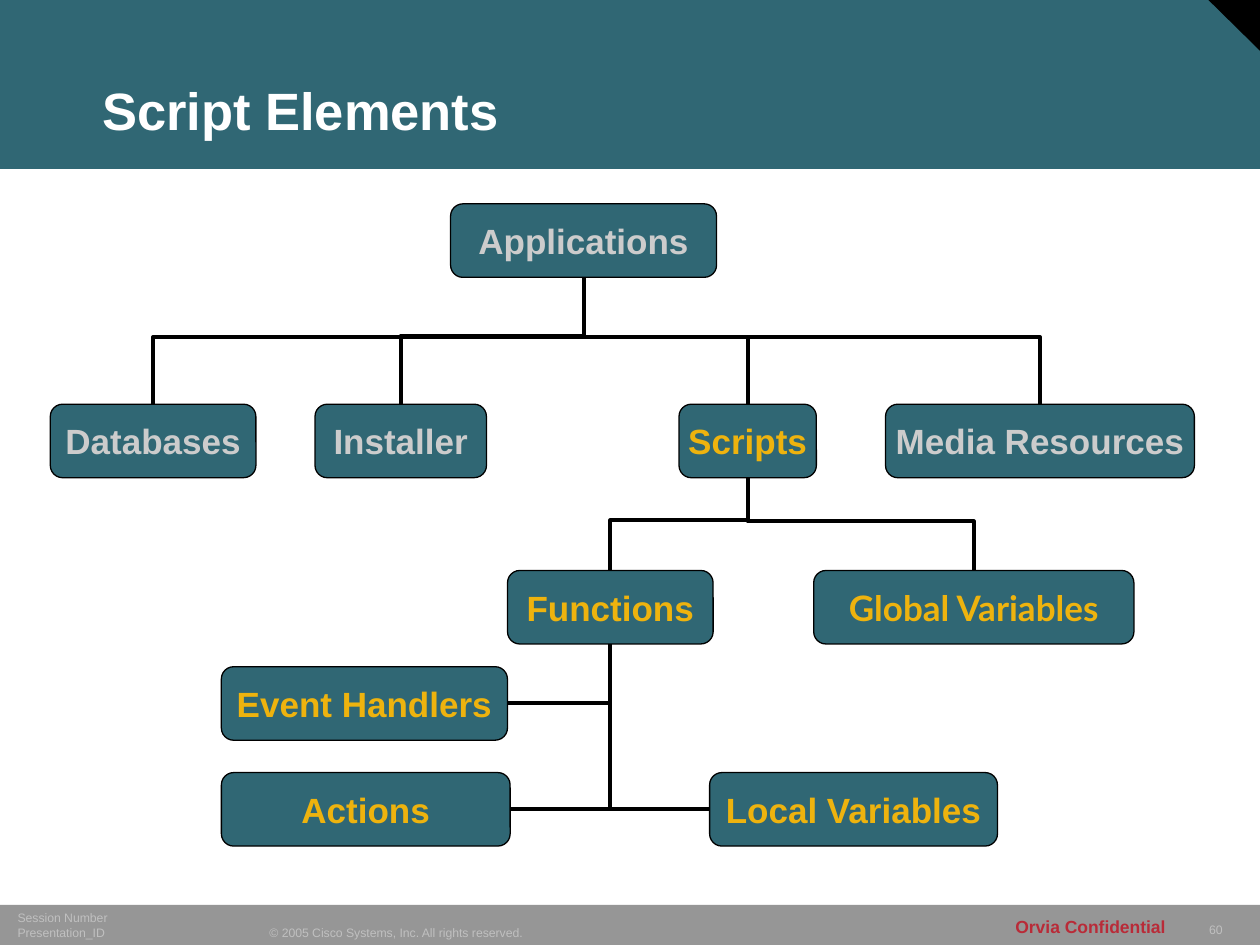
from dataclasses import dataclass

from lxml.etree import SubElement
from pptx import Presentation
from pptx.dml.color import RGBColor
from pptx.enum.shapes import MSO_CONNECTOR, MSO_SHAPE
from pptx.enum.text import MSO_ANCHOR, MSO_AUTO_SIZE, PP_ALIGN
from pptx.oxml.ns import qn
from pptx.util import Pt


@dataclass(frozen=True)
class Theme:
    teal: str = "306774"
    black: str = "000000"
    white: str = "FFFFFF"
    bar: str = "969696"
    footer: str = "C0C0C0"
    muted: str = "CCCCCC"
    gold: str = "EEB30E"
    red: str = "B92B38"
    font: str = "Arial"
    alternate_font: str = "Lato"
    title_size: float = 30
    node_size: float = 20
    notice_size: float = 10
    footer_size: float = 7
    outline: float = 0.75
    connector: float = 2.25


THEME = Theme()
NODE_HEIGHT = 42
SECOND_ROW, THIRD_ROW, LAST_ROW = 231, 326, 441.5

NODES = {
    "Applications": (257.5, 116.5, 152, THEME.muted),
    "Databases": (28.75, SECOND_ROW, 117.5, THEME.muted),
    "Installer": (180, SECOND_ROW, 98, THEME.muted),
    "Scripts": (388, SECOND_ROW, 78.5, THEME.gold),
    "Media Resources": (506, SECOND_ROW, 176.5, THEME.muted),
    "Functions": (290, THIRD_ROW, 117.5, THEME.gold),
    "Global Variables": (465, THIRD_ROW, 183, THEME.gold),
    "Event Handlers": (126.5, 381, 163.5, THEME.gold),
    "Actions": (126.5, LAST_ROW, 165, THEME.gold),
    "Local Variables": (405.5, LAST_ROW, 164.5, THEME.gold),
}
BRANCHES = [
    ("Applications", "Databases", 0.47),
    ("Applications", "Installer", 0.46),
    ("Applications", "Scripts", 0.47),
    ("Applications", "Media Resources", 0.47),
    ("Scripts", "Functions", 0.46),
    ("Scripts", "Global Variables", 0.47),
]
SIDE_LINKS = ["Actions", "Local Variables", "Event Handlers"]


def apply_format(target, values):
    for name, value in values.items():
        setattr(target, name, value)


def write_text(box, lines, size, color, bold=False, font=THEME.font,
               inset=(6.5, 3), frame_format=None, para_format=None):
    frame = box.text_frame
    apply_format(frame, {
        "margin_left": Pt(inset[0]), "margin_right": Pt(inset[0]),
        "margin_top": Pt(inset[1]), "margin_bottom": Pt(inset[1]),
        "vertical_anchor": MSO_ANCHOR.BOTTOM, "word_wrap": True,
        **(frame_format or {}),
    })
    for index, line in enumerate(lines):
        para = frame.add_paragraph() if index else frame.paragraphs[0]
        apply_format(para, para_format or {})
        span = para.add_run()
        span.text = line
        apply_format(span.font, {"name": font, "size": Pt(size), "bold": bold})
        span.font.color.rgb = RGBColor.from_string(color)


def add_text(page, place, lines, size, color, **options):
    box = page.shapes.add_textbox(*map(Pt, place))
    write_text(box, lines, size, color, **options)


def add_block(page, kind, place, color):
    block = page.shapes.add_shape(kind, *map(Pt, place))
    block.shadow.inherit = False
    block.fill.solid()
    block.fill.fore_color.rgb = RGBColor.from_string(color)
    block.line.fill.background()
    return block


def add_node(page, label):
    left, top, width, color = NODES[label]
    node = add_block(page, MSO_SHAPE.ROUNDED_RECTANGLE,
                     (left, top, width, NODE_HEIGHT), THEME.teal)
    node.line.color.rgb = RGBColor.from_string(THEME.black)
    node.line.width = Pt(THEME.outline)
    font = THEME.alternate_font if label == "Global Variables" else THEME.font
    write_text(node, [label], THEME.node_size, color, bold=True, font=font,
               inset=(3, 1.5), frame_format={"vertical_anchor": MSO_ANCHOR.MIDDLE},
               para_format={"alignment": PP_ALIGN.CENTER})


def add_elbow(page, start, end):
    elbow = page.shapes.add_connector(MSO_CONNECTOR.ELBOW, *map(Pt, start + end))
    elbow.line.color.rgb = RGBColor.from_string(THEME.black)
    elbow.line.width = Pt(THEME.connector)
    properties = elbow._element.spPr
    SubElement(properties, qn("a:effectLst"))
    return properties


def center_x(label):
    left, _, width, _ = NODES[label]
    return left + width / 2


def add_branch(page, parent, child, share):
    parent_x, child_x = center_x(parent), center_x(child)
    parent_y, child_y = NODES[parent][1] + NODE_HEIGHT, NODES[child][1]
    middle_x, middle_y = (parent_x + child_x) / 2, (parent_y + child_y) / 2
    half_drop, half_span = (child_y - parent_y) / 2, (child_x - parent_x) / 2
    properties = add_elbow(page, (middle_x - half_drop, middle_y + half_span),
                           (middle_x + half_drop, middle_y - half_span))
    properties.find(qn("a:xfrm")).set("rot", str(90 * 60000))
    guides = properties.find(qn("a:prstGeom")).find(qn("a:avLst"))
    SubElement(guides, qn("a:gd"), name="adj1", fmla=f"val {round(share * 100000)}")


def add_side_link(page, label):
    left, top, width, _ = NODES[label]
    trunk_x = center_x("Functions")
    edge_x = left if left > trunk_x else left + width
    properties = add_elbow(page, (edge_x, top + NODE_HEIGHT / 2),
                           (trunk_x, THIRD_ROW + NODE_HEIGHT))
    properties.find(qn("a:prstGeom")).set("prst", "bentConnector2")


def add_page_frame(page):
    add_block(page, MSO_SHAPE.RECTANGLE, (0, 0, 720, 96.5), THEME.teal)
    corner = add_block(page, MSO_SHAPE.RIGHT_TRIANGLE,
                       (690, -0.5, 30, 29.5), THEME.black)
    corner.rotation = 180
    add_block(page, MSO_SHAPE.RECTANGLE, (0, 517, 720, 23.5), THEME.bar)
    add_text(page, (52, 18, 641.5, 66), ["Script Elements"], THEME.title_size,
             THEME.white, bold=True, para_format={"line_spacing": 0.9})


def add_footer(page):
    growing = {"auto_size": MSO_AUTO_SIZE.SHAPE_TO_FIT_TEXT}
    single_line = {**growing, "word_wrap": False}
    small = (THEME.footer_size, THEME.footer)
    add_text(page, (684.5, 523.5, 44.5, 15), ["60"], *small,
             frame_format=single_line)
    add_text(page, (147.5, 525, 158.5, 15),
             ["© 2005 Cisco Systems, Inc. All rights reserved."], *small,
             frame_format=single_line)
    add_text(page, (-16.5, 517, 104.5, 23), ["Session Number", "Presentation_ID"],
             *small, inset=(26.5, 3), frame_format={**growing, "margin_right": 0})
    add_text(page, (572.5, 520, 100, 18.5), ["Orvia Confidential"],
             THEME.notice_size, THEME.red, bold=True, frame_format=single_line,
             para_format={"alignment": PP_ALIGN.RIGHT})


def main():
    deck = Presentation()
    apply_format(deck, {"slide_width": Pt(720), "slide_height": Pt(540)})
    page = deck.slides.add_slide(deck.slide_layouts[6])
    add_page_frame(page)
    add_footer(page)
    for label in SIDE_LINKS:
        add_side_link(page, label)
    for parent, child, share in BRANCHES:
        add_branch(page, parent, child, share)
    for label in NODES:
        add_node(page, label)
    deck.save("out.pptx")


if __name__ == "__main__":
    main()
